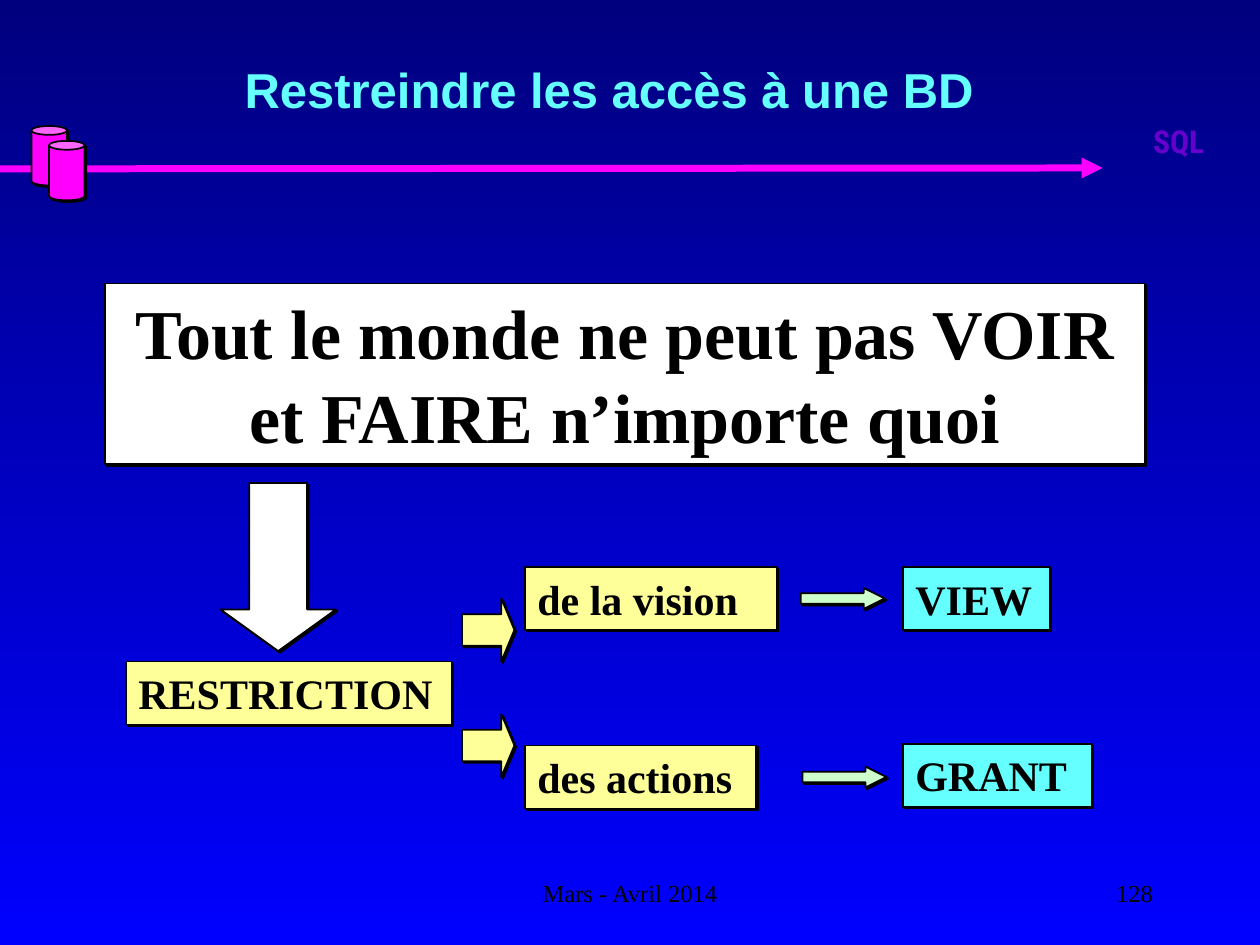
"""Slide on restricting access to a database with views and grants."""
from lxml import etree
from pptx import Presentation
from pptx.dml.color import RGBColor
from pptx.enum import shapes, text
from pptx.oxml import ns
from pptx.util import Pt

NAVY = RGBColor(0x00, 0x00, 0x7F)
BLUE = RGBColor(0x00, 0x00, 0xFF)
PINK = RGBColor(0xFF, 0x00, 0xFF)
PURPLE = RGBColor(0x66, 0x00, 0xCC)
CYAN = RGBColor(0x66, 0xFF, 0xFF)
YELLOW = RGBColor(0xFF, 0xFF, 0x99)
GREEN = RGBColor(0xCC, 0xFF, 0xCC)
WHITE = RGBColor(0xFF, 0xFF, 0xFF)
BLACK = RGBColor(0x00, 0x00, 0x00)
SERIF = "Times New Roman"
KIND = shapes.MSO_SHAPE
ALIGN = text.PP_ALIGN


def draw(home, kind, box, fill, adj=()):
    form = home.add_shape(kind, *map(Pt, box))
    for spot, value in enumerate(adj):
        form.adjustments[spot] = value
    form.fill.solid()
    form.fill.fore_color.rgb = fill
    form.line.color.rgb = BLACK
    form.line.width = Pt(1)
    form.shadow.inherit = False
    glow = form.element.spPr.find(ns.qn("a:effectLst"))
    shade = etree.SubElement(glow, ns.qn("a:outerShdw"), dist=str(Pt(1.4)),
                             dir="2700000", algn="ctr", rotWithShape="0")
    etree.SubElement(shade, ns.qn("a:srgbClr"), val=str(BLACK))
    return form


def write(form, words, size, face, color, bold, align):
    frame = form.text_frame
    frame.text = words
    line = frame.paragraphs[0]
    line.alignment = align
    font = line.font
    font.size, font.name, font.bold = Pt(size), face, bold
    font.color.rgb = color
    return frame


deck = Presentation()
deck.slide_width, deck.slide_height = Pt(720), Pt(540)
slide = deck.slides.add_slide(deck.slide_layouts[6])
back = slide.background.fill
back.gradient()
back.gradient_angle = 270
for stop, color in zip(back.gradient_stops, (NAVY, BLUE)):
    stop.color.rgb = color

rule = slide.shapes.add_connector(
    shapes.MSO_CONNECTOR.STRAIGHT, Pt(0), Pt(96.5), Pt(630), Pt(96))
rule.line.color.rgb = PINK
rule.line.width = Pt(4)
etree.SubElement(rule.line._get_or_add_ln(), ns.qn("a:tailEnd"), type="triangle")
etree.SubElement(rule.element.spPr, ns.qn("a:effectLst"))

cans = slide.shapes.add_group_shape()
for left, top in ((18, 72), (28, 80.5)):
    draw(cans.shapes, KIND.CAN, (left, top, 20.3, 34), PINK, [0.25])

TOP, MID = text.MSO_ANCHOR.TOP, text.MSO_ANCHOR.MIDDLE
for words, box, size, face, color, bold, align, anchor, wrap in (
    ("SQL", (631.5, 66, 84, 56), 18, "Roboto Condensed", PURPLE, True, ALIGN.CENTER, TOP, False),
    ("Mars - Avril 2014", (246, 492, 228, 36), 14, SERIF, BLACK, False, ALIGN.CENTER, MID, False),
    ("128", (516, 492, 150, 36), 14, SERIF, BLACK, False, ALIGN.RIGHT, MID, False),
    ("Restreindre les accès à une BD", (30, 6, 636, 90), 28, "Arial", CYAN, True,
     ALIGN.CENTER, MID, True),
):
    label = slide.shapes.add_textbox(*map(Pt, box))
    frame = write(label, words, size, face, color, bold, align)
    frame.vertical_anchor = anchor
    frame.word_wrap = wrap

for words, box, fill, size, align in (
    ("Tout le monde ne peut pas VOIR et FAIRE n’importe quoi",
     (60, 162, 594, 103.2), WHITE, 40, ALIGN.CENTER),
    ("RESTRICTION", (72, 378, 186, 36), YELLOW, 24, ALIGN.LEFT),
    ("des actions", (300, 426, 132, 36), YELLOW, 24, ALIGN.LEFT),
    ("de la vision", (300, 324, 144, 36), YELLOW, 24, ALIGN.LEFT),
    ("VIEW", (516, 324, 84, 36), CYAN, 24, ALIGN.LEFT),
    ("GRANT", (516, 425, 108, 36), CYAN, 24, ALIGN.LEFT),
):
    card = draw(slide.shapes, KIND.RECTANGLE, box, fill)
    frame = write(card, words, size, SERIF, BLACK, True, align)
    frame.vertical_anchor = TOP
    frame.word_wrap = True
    frame.auto_size = text.MSO_AUTO_SIZE.SHAPE_TO_FIT_TEXT
    frame.paragraphs[0].line_spacing = Pt(size * 1.2)

for kind, box, fill, head in (
    (KIND.RIGHT_ARROW, (264, 342, 30, 36), YELLOW, 0.25),
    (KIND.RIGHT_ARROW, (264, 408, 30, 36), YELLOW, 0.25),
    (KIND.DOWN_ARROW, (126, 276, 66, 96), WHITE, 0.36),
    (KIND.RIGHT_ARROW, (457.5, 336, 48, 12), GREEN, 1),
    (KIND.RIGHT_ARROW, (458.5, 438, 48, 12), GREEN, 1),
):
    draw(slide.shapes, kind, box, fill, [0.5, head])

deck.save("out.pptx")
